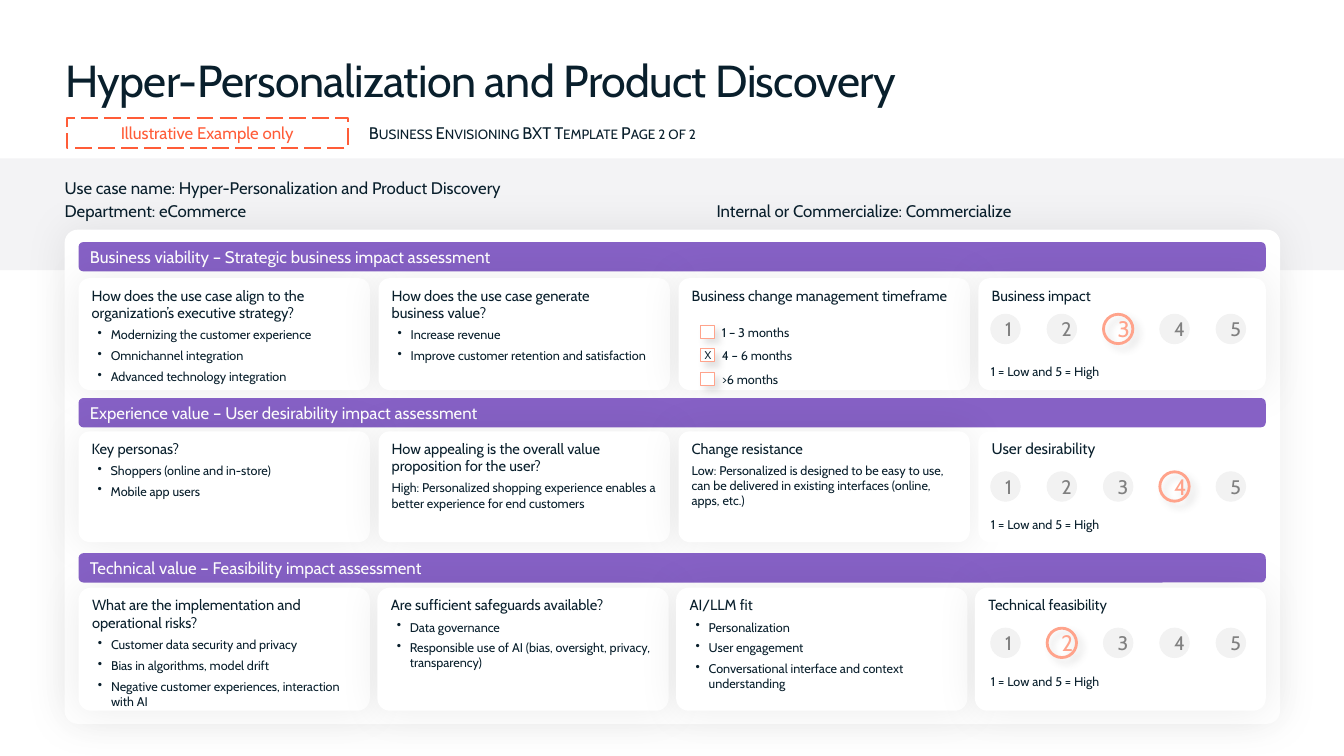
from lxml import etree
from pptx import Presentation
from pptx.dml.color import RGBColor
from pptx.enum import dml, shapes, text
from pptx.oxml.ns import qn
from pptx.util import Cm, Pt

INK = RGBColor(0x09, 0x1F, 0x2C)
WHITE = RGBColor(0xFF, 0xFF, 0xFF)
BAND = RGBColor(0xF3, 0xF3, 0xF5)
PURPLE = RGBColor(0x86, 0x61, 0xC5)
ORANGE = RGBColor(0xFF, 0x5C, 0x38)
CORAL = RGBColor(0xFF, 0xA3, 0x8B)
DOT = RGBColor(0xF2, 0xF2, 0xF2)
GRAY = RGBColor(0x80, 0x80, 0x80)

# Shadow: colour, opacity %, blur pt, distance pt, angle
SOFT = ("000000", 7, 30, 0, 0)
DROP = ("737373", 20, 5, 5, 45)

RECT = shapes.MSO_SHAPE.RECTANGLE
ROUND = shapes.MSO_SHAPE.ROUNDED_RECTANGLE
OVAL = shapes.MSO_SHAPE.OVAL
TOP, MIDDLE = text.MSO_ANCHOR.TOP, text.MSO_ANCHOR.MIDDLE
LEFT, CENTER = text.PP_ALIGN.LEFT, text.PP_ALIGN.CENTER

# Each assessment: title, header top, cards top, cards height, column pitch,
# three cards (question, answers, bulleted), score title, its size, its shadow,
# score, offset of the score dots
ASSESSMENTS = [
    ("Business viability – Strategic business impact assessment", 6.1, 7.01, 2.82, 7.56, [
        ("How does the use case align to the organization’s executive strategy?",
         ["Modernizing the customer experience", "Omnichannel integration",
          "Advanced technology integration"], True),
        ("How does the use case generate\vbusiness value?",
         ["Increase revenue", "Improve customer retention and satisfaction"], True),
        ("Business change management timeframe", [], False),
    ], "Business impact", 10.5, SOFT, 3, 0.91),
    ("Experience value – User desirability impact assessment", 10.03, 10.87, 2.79, 7.56, [
        ("Key personas?", ["Shoppers (online and in-store)", "Mobile app users"], True),
        ("How appealing is the overall value proposition for the user?",
         ["High: Personalized shopping experience enables a better experience "
          "for end customers"], False),
        ("Change resistance",
         ["Low: Personalized is designed to be easy to use, can be delivered in "
          "existing interfaces (online, apps, etc.)"], False),
    ], "User desirability", 11, None, 4, 1.02),
    ("Technical value – Feasibility impact assessment", 13.94, 14.81, 3.1, 7.53, [
        ("What are the implementation and operational risks?",
         ["Customer data security and privacy", "Bias in algorithms, model drift",
          "Negative customer experiences, interaction with AI"], True),
        ("Are sufficient safeguards available?",
         ["Data governance",
          "Responsible use of AI (bias, oversight, privacy, transparency)"], True),
        ("AI/LLM fit",
         ["Personalization", "User engagement",
          "Conversational interface and context understanding"], True),
    ], "Technical feasibility", 10.5, SOFT, 2, 1.02),
]
TIMEFRAMES = [("1 – 3 months", ""), ("4 – 6 months", "X"), (">6 months", "")]
ROW_LEFT, ROW_RIGHT, CARD_WIDTH = 1.98, 31.9, 7.34


def write(tf, words, size=12, color=INK, align=LEFT, after=0, bullet=False,
          small_caps=False, spacing=None):
    """Adds one formatted paragraph, using the empty first one if it is free."""
    p = tf.paragraphs[0] if not tf.text else tf.add_paragraph()
    p.text = words
    p.alignment = align
    p.space_after = Pt(after)
    if bullet:
        pPr = p._p.get_or_add_pPr()
        pPr.set("marL", str(Cm(0.48)))
        pPr.set("indent", str(Cm(-0.33)))
        etree.SubElement(pPr, qn("a:buChar"), char="•")
    for r in p.runs:
        r.font.name = "Cabin"
        r.font.size = Pt(size)
        r.font.color.rgb = color
        if small_caps:
            r._r.get_or_add_rPr().set("cap", "small")
        if spacing:
            r._r.get_or_add_rPr().set("spc", str(spacing))


def add_label(slide, box, words, anchor=TOP, insets=(0, 0, 0, 0), **fmt):
    tf = slide.shapes.add_textbox(*map(Cm, box)).text_frame
    tf.word_wrap = True
    tf.vertical_anchor = anchor
    tf.margin_left, tf.margin_top, tf.margin_right, tf.margin_bottom = map(Cm, insets)
    write(tf, words, **fmt)


def add_box(slide, kind, box, fill=None, line=None, width=0.75, radius=None,
            shadow=None, anchor=TOP):
    sp = slide.shapes.add_shape(kind, *map(Cm, box))
    sp.shadow.inherit = False
    if radius is not None:
        sp.adjustments[0] = radius
    if fill is None:
        sp.fill.background()
    else:
        sp.fill.solid()
        sp.fill.fore_color.rgb = fill
    if line is None:
        sp.line.fill.background()
    else:
        sp.line.color.rgb = line
        sp.line.width = Pt(width)
    if shadow:
        color, opacity, blur, distance, angle = shadow
        effects = sp._element.spPr.find(qn("a:effectLst"))
        outer = etree.SubElement(effects, qn("a:outerShdw"), blurRad=str(Pt(blur)),
                                 dist=str(Pt(distance)), dir=str(angle * 60000),
                                 algn="ctr", rotWithShape="0")
        clr = etree.SubElement(outer, qn("a:srgbClr"), val=color)
        etree.SubElement(clr, qn("a:alpha"), val=str(opacity * 1000))
    sp.text_frame.vertical_anchor = anchor
    return sp


def add_heading(slide, left, top):
    add_label(slide, (left, top, 30.58, 1.63), "Hyper-Personalization and Product Discovery",
              insets=(0, 0.13, 0.25, 0.13), size=32, spacing=-50)
    tag = add_box(slide, RECT, (left + 0.03, top + 1.78, 7.09, 0.76), line=ORANGE, width=1.5)
    tag.line.dash_style = dml.MSO_LINE.LONG_DASH
    write(tag.text_frame, "Illustrative Example only", color=ORANGE, align=CENTER)
    add_label(slide, (left + 7.65, top + 1.91, 11.58, 0.51),
              "Business Envisioning BXT Template Page 2 of 2", small_caps=True)


def add_use_case(slide, left, top):
    add_label(slide, (left, top, 24.05, 0.51),
              "Use case name: Hyper-Personalization and Product Discovery", anchor=MIDDLE)
    add_label(slide, (left, top + 0.58, 14.22, 0.53), "Department: eCommerce", anchor=MIDDLE)
    add_label(slide, (left + 16.43, top + 0.58, 14.22, 0.53),
              "Internal or Commercialize: Commercialize")


def add_card(slide, box, question, size=10.5, answers=(), bullet=False, shadow=SOFT):
    sp = add_box(slide, ROUND, box, fill=WHITE, radius=0.1, shadow=shadow)
    write(sp.text_frame, question, size=size, after=4)
    for answer in answers:
        write(sp.text_frame, answer, size=9, after=4, bullet=bullet)


def add_timeframes(slide, left, top):
    for i, (words, mark) in enumerate(TIMEFRAMES):
        y = top + 0.59 * i
        add_label(slide, (left + 0.54, y - 0.02, 2.5, 0.38), words, size=9, after=2)
        check = add_box(slide, RECT, (left, y, 0.36, 0.33), fill=WHITE, line=CORAL,
                        shadow=DROP, anchor=MIDDLE)
        if mark:
            write(check.text_frame, mark, size=8, align=CENTER)


def add_score(slide, left, top, score, legend_top):
    for n in range(1, 6):
        box = (left + 1.42 * (n - 1), top, 0.74, 0.74)
        if n == score:
            dot = add_box(slide, OVAL, box, line=CORAL, width=2, shadow=DROP, anchor=MIDDLE)
            write(dot.text_frame, str(n), size=16, color=CORAL, align=CENTER)
        else:
            dot = add_box(slide, OVAL, box, fill=DOT, line=DOT, anchor=MIDDLE)
            write(dot.text_frame, str(n), size=14, color=GRAY, align=CENTER, after=2)
    add_label(slide, (left, legend_top, 5.03, 0.38), "1 = Low and 5 = High", size=9)


def add_assessment(slide, title, header_top, top, height, pitch, cards,
                   score_title, score_size, score_shadow, score, dots):
    header = add_box(slide, ROUND, (ROW_LEFT, header_top, ROW_RIGHT - ROW_LEFT, 0.74),
                     fill=PURPLE, anchor=MIDDLE)
    write(header.text_frame, title, color=WHITE)
    for i, (question, answers, bullet) in enumerate(cards):
        add_card(slide, (ROW_LEFT + pitch * i, top, CARD_WIDTH, height), question,
                 answers=answers, bullet=bullet)
    score_left = ROW_LEFT + pitch * len(cards)
    add_card(slide, (score_left, top, ROW_RIGHT - score_left, height), score_title,
             size=score_size, shadow=score_shadow)
    add_score(slide, ROW_RIGHT - 6.93, top + dots, score, top + 2.16)


def main():
    prs = Presentation()
    prs.slide_width, prs.slide_height = Cm(33.87), Cm(19.05)
    slide = prs.slides.add_slide(prs.slide_layouts[6])
    # Background band, heading and use case
    add_box(slide, RECT, (0, 3.99, 33.87, 2.82), fill=BAND)
    add_heading(slide, 1.65, 1.19)
    add_use_case(slide, 1.63, 4.47)
    # Panel with the three assessments
    add_box(slide, ROUND, (1.63, 5.79, 30.63, 12.45), fill=WHITE, radius=0.026, shadow=SOFT)
    for assessment in ASSESSMENTS:
        add_assessment(slide, *assessment)
    # Check boxes of the change management card
    add_timeframes(slide, 17.65, 8.2)
    prs.save("out.pptx")


if __name__ == "__main__":
    main()
